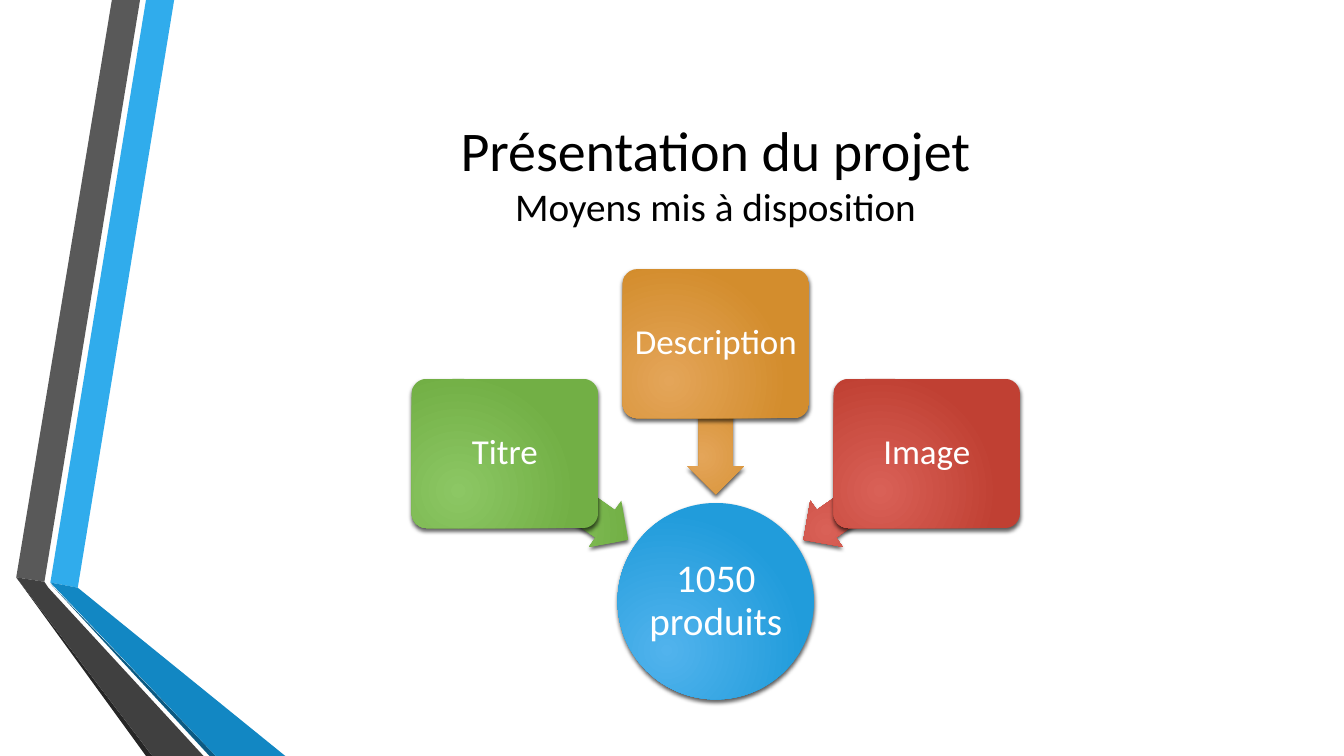
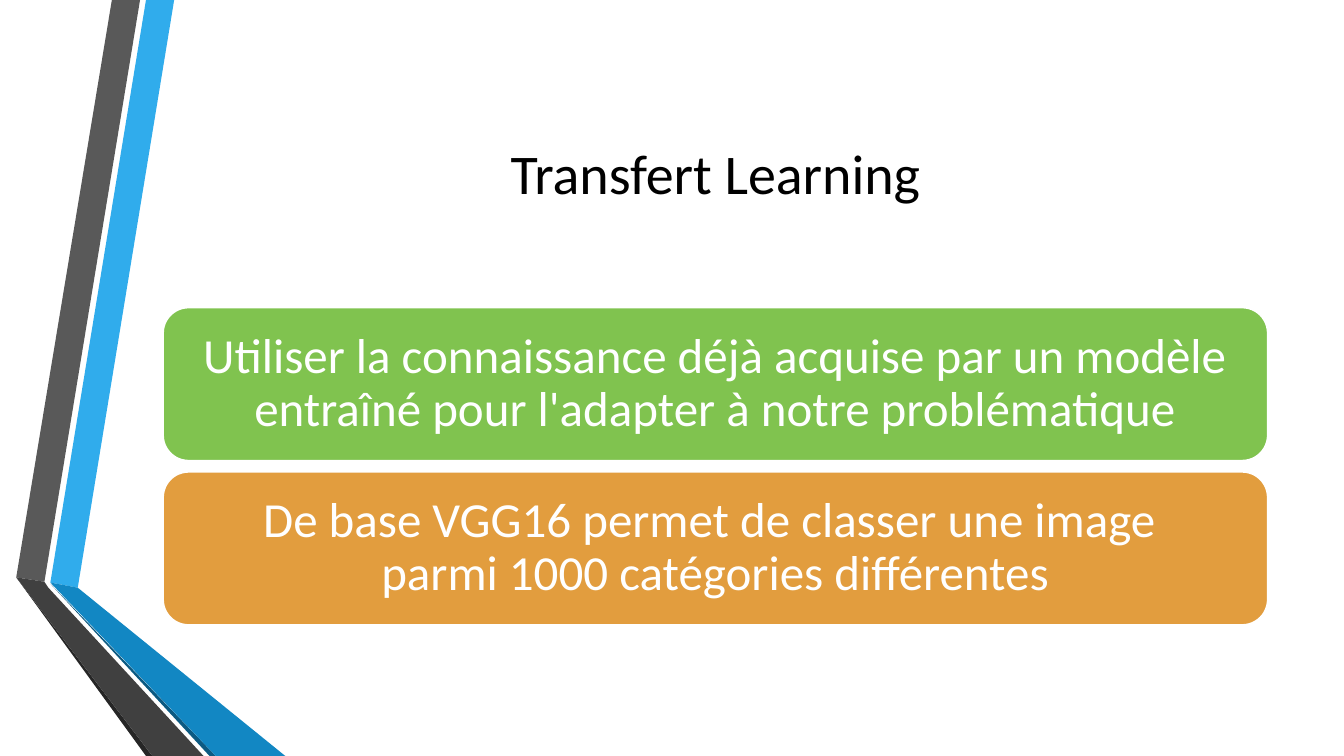
import math

import lxml.etree
import pptx
import pptx.dml.color
import pptx.enum.shapes
import pptx.enum.text
import pptx.oxml.ns
import pptx.util

Cm, Pt = pptx.util.Cm, pptx.util.Pt
SHAPE = pptx.enum.shapes.MSO_SHAPE

# Content
TITLES = [
    [("Présentation du projet", 40), ("Moyens mis à disposition", 28)],
    [("Transfert Learning", 40)],
]
HUB = ("1050 produits", "51B3ED", "219CDB")
BRANCHES = [  # text, angle around the hub, inner colour, outer colour
    ("Titre", 215, "8CC764", "72AF45"),
    ("Description", 270, "E4A559", "D38D2D"),
    ("Image", 325, "D96157", "C04033"),
]
BARS = [
    ("Utiliser la connaissance déjà acquise par un modèle entraîné "
     "pour l'adapter à notre problématique", "80C34F"),
    ("De base VGG16 permet de classer une image \v"
     "parmi 1000 catégories différentes", "E29D3E"),
]

# Shared style, lengths in cm
FONT, WHITE, BLACK = "Calibri", "FFFFFF", "000000"
WIDTH, HEIGHT = 33.87, 19.05
LEFT, BODY_WIDTH = 4.11, 27.84
BANDS = [
    ("30ACEC", [(1.27, 14.68), (1.96, 14.81), (4.39, 0), (3.68, 0)]),
    ("595959", [(3.53, 0), (2.82, 0), (0.41, 14.55), (1.12, 14.66)]),
    ("262626", [(0.41, 14.55), (3.68, HEIGHT), (3.84, HEIGHT)]),
    ("0C5A82", [(1.27, 14.71), (5.28, HEIGHT), (5.44, HEIGHT)]),
    ("1287C3", [(1.27, 14.68), (5.44, HEIGHT), (7.19, HEIGHT), (1.96, 14.81)]),
    ("404040", [(5.13, HEIGHT), (1.22, 14.81), (1.12, 14.66), (0.41, 14.55),
                (3.84, HEIGHT)]),
]

# Hub diagram and bars, lengths in cm
HUB_X, HUB_Y, HUB_SIZE = 18.04, 15.15, 4.95
BOX_SIZE, BOX_RADIUS = (4.7, 3.76), 6.49
ARROW_SIZE, ARROW_RADIUS = (3.81, 1.42), 4.6
BAR_TOP, BAR_HEIGHT, BAR_GAP = 7.75, 3.86, 0.28


def rgb(value):
    return pptx.dml.color.RGBColor.from_string(value)


def sub(parent, tag, **attributes):
    return lxml.etree.SubElement(parent, pptx.oxml.ns.qn(tag), attributes)


def style_text(tf, size, color, inset=None):
    tf.word_wrap = True
    tf.vertical_anchor = pptx.enum.text.MSO_ANCHOR.MIDDLE
    if inset is not None:
        tf.margin_left = tf.margin_right = Cm(inset)
        tf.margin_top = tf.margin_bottom = Cm(inset)
    p = tf.paragraphs[0]
    p.alignment = pptx.enum.text.PP_ALIGN.CENTER
    p.font.name, p.font.size = FONT, Pt(size)
    p.font.color.rgb = rgb(color)
    return p


def add_label(sp, text, size, inset):
    p = style_text(sp.text_frame, size, WHITE, inset)
    p.line_spacing = 0.9
    p.text = text


def add_glossy(slide, kind, center, size, colors, adjustments=()):
    """Shape placed by its centre, with a radial gradient and a soft shadow."""
    (x, y), (w, h) = center, size
    sp = slide.shapes.add_shape(kind, Cm(x - w / 2), Cm(y - h / 2), Cm(w), Cm(h))
    for i, value in enumerate(adjustments):
        sp.adjustments[i] = value
    sp.line.fill.background()

    sp.fill.gradient()
    for stop, color in zip(sp.fill.gradient_stops, colors):
        stop.color.rgb = rgb(color)
    grad = sp._element.spPr.find(pptx.oxml.ns.qn("a:gradFill"))
    grad.remove(grad.find(pptx.oxml.ns.qn("a:lin")))
    circle = sub(grad, "a:path", path="circle")
    sub(circle, "a:fillToRect", l="50000", t="100000", r="100000", b="50000")

    sp.shadow.inherit = False
    effects = sp._element.spPr.find(pptx.oxml.ns.qn("a:effectLst"))
    shadow = sub(effects, "a:outerShdw", blurRad=str(Pt(3)), dist=str(Pt(2)),
                 dir="5400000", rotWithShape="0")
    sub(sub(shadow, "a:srgbClr", val=BLACK), "a:alpha", val="64000")
    return sp


def around_hub(angle, radius):
    a = math.radians(angle)
    return HUB_X + radius * math.cos(a), HUB_Y + radius * math.sin(a)


def new_slide(prs, title):
    slide = prs.slides.add_slide(prs.slide_layouts[6])
    # Side bands
    for color, points in BANDS:
        start, *rest = [(Cm(x), Cm(y)) for x, y in points]
        builder = slide.shapes.build_freeform(*start)
        builder.add_line_segments(rest, close=True)
        sp = builder.convert_to_shape()
        sp.fill.solid()
        sp.fill.fore_color.rgb = rgb(color)
        sp.line.fill.background()
        sp.shadow.inherit = False
    # Title
    box = slide.shapes.add_textbox(Cm(LEFT), Cm(1.9), Cm(BODY_WIDTH), Cm(4.88))
    p = style_text(box.text_frame, title[0][1], BLACK)
    for i, (text, size) in enumerate(title):
        if i:
            p.add_line_break()
        r = p.add_run()
        r.text, r.font.size = text, Pt(size)
    return slide


def add_hub_diagram(slide):
    text, *colors = HUB
    hub = add_glossy(slide, SHAPE.OVAL, (HUB_X, HUB_Y), (HUB_SIZE, HUB_SIZE), colors)
    add_label(hub, text, 28, 0.05)
    for text, angle, *colors in BRANCHES:
        arrow = add_glossy(slide, SHAPE.LEFT_ARROW, around_hub(angle, ARROW_RADIUS),
                           ARROW_SIZE, colors, (0.6, 0.5))
        arrow.rotation = angle
        box = add_glossy(slide, SHAPE.ROUNDED_RECTANGLE, around_hub(angle, BOX_RADIUS),
                         BOX_SIZE, colors, (0.1,))
        add_label(box, text, 25, 0.12)


def add_bars(slide):
    for i, (text, color) in enumerate(BARS):
        top = BAR_TOP + i * (BAR_HEIGHT + BAR_GAP)
        sp = slide.shapes.add_shape(SHAPE.ROUNDED_RECTANGLE, Cm(LEFT), Cm(top),
                                    Cm(BODY_WIDTH), Cm(BAR_HEIGHT))
        sp.fill.solid()
        sp.fill.fore_color.rgb = rgb(color)
        sp.line.color.rgb = rgb(WHITE)
        sp.line.width = Pt(1.25)
        sp.shadow.inherit = False
        add_label(sp, text, 35, 0.38)


def main():
    prs = pptx.Presentation()
    prs.slide_width, prs.slide_height = Cm(WIDTH), Cm(HEIGHT)
    for title, add_body in zip(TITLES, (add_hub_diagram, add_bars)):
        add_body(new_slide(prs, title))
    prs.save("out.pptx")


if __name__ == "__main__":
    main()
